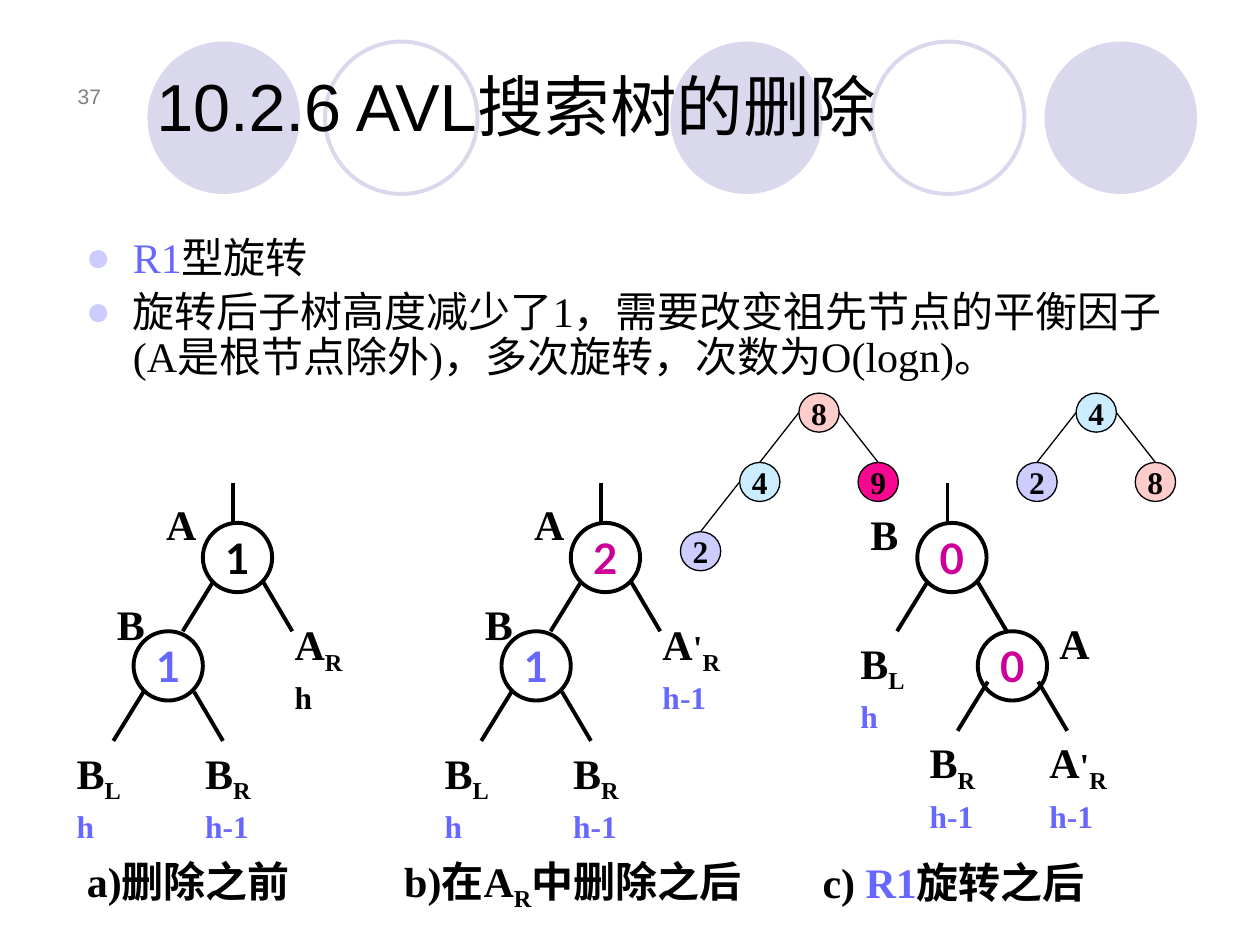
from dataclasses import dataclass
from typing import NamedTuple

from lxml import etree
from pptx import Presentation
from pptx.dml.color import RGBColor
from pptx.enum.shapes import MSO_CONNECTOR as CONN, MSO_SHAPE as SHAPE
from pptx.enum.text import MSO_ANCHOR as ANCHOR, MSO_AUTO_SIZE as AUTO, PP_ALIGN as ALIGN
from pptx.oxml.ns import qn
from pptx.util import Inches, Pt


@dataclass(frozen=True)
class Theme:
    """Colours, fonts and type sizes of the slide."""
    ink: str = "000000"
    accent: str = "6767FF"
    changed: str = "CC0099"
    number: str = "808080"
    decor: str = "D9D8EC"
    lilac: str = "CCCCFF"
    sky: str = "CCECFF"
    rose: str = "FFCCCC"
    pink: str = "FA0691"
    sans: str = "Arial"
    serif: str = "Times New Roman"
    digit: str = "Lato"
    title: int = 38
    text: int = 24
    prime: int = 20
    small: int = 18
    page: int = 12
    heavy: float = 2.25
    thin: float = 0.75


T = Theme()


class Run(NamedTuple):
    """A piece of text in one format."""
    text: str
    color: str = T.ink
    size: int = T.text
    sub: bool = False


class Slide:
    """Holds the theme and the current slide and draws its elements."""

    def __init__(self, prs, theme):
        self.t = theme
        self.s = prs.slides.add_slide(prs.slide_layouts[1])

    def add_runs(self, p, runs, font=T.serif, bold=True):
        """Add formatted runs to a paragraph."""
        for run in runs:
            r = p.add_run()
            r.text = run.text
            r.font.name, r.font.size, r.font.bold = font, Pt(run.size), bold
            r.font.color.rgb = RGBColor.from_string(run.color)
            if run.sub:
                r.font._element.set("baseline", "-25000")

    def place(self, sp, x, y, w, h):
        """Move a placeholder to its place in front of the decoration."""
        sp.left, sp.top, sp.width, sp.height = (Inches(v) for v in (x, y, w, h))
        self.s.shapes._spTree.append(sp._element)
        sp.text_frame.auto_size = AUTO.NONE
        return sp.text_frame

    def title(self, text, *box):
        """Fill the title placeholder."""
        tf = self.place(self.s.shapes.title, *box)
        tf.vertical_anchor = ANCHOR.BOTTOM
        p = tf.paragraphs[0]
        p.alignment = ALIGN.LEFT
        self.add_runs(p, [Run(text, size=self.t.title)], self.t.sans, False)

    def bullets(self, items, *box):
        """Fill the body placeholder with a bulleted list."""
        tf = self.place(self.s.placeholders[1], *box)
        tf.vertical_anchor = ANCHOR.TOP
        for i, runs in enumerate(items):
            p = tf.add_paragraph() if i else tf.paragraphs[0]
            pPr = p._p.get_or_add_pPr()
            clr = etree.SubElement(pPr, qn("a:buClr"))
            etree.SubElement(clr, qn("a:srgbClr"), val=self.t.lilac)
            etree.SubElement(pPr, qn("a:buFont"), typeface=self.t.sans)
            etree.SubElement(pPr, qn("a:buChar"), char="●")
            p.line_spacing = 0.9
            p.space_before = Pt(5 if i else 0)
            self.add_runs(p, runs, bold=False)

    def text(self, x, y, w, h, runs):
        """Add a text box of one paragraph and return its frame."""
        tf = self.s.shapes.add_textbox(*(Inches(v) for v in (x, y, w, h))).text_frame
        tf.word_wrap = True
        self.add_runs(tf.paragraphs[0], runs)
        return tf

    def page_number(self, text, *box):
        """Add the slide number."""
        tf = self.text(*box, [])
        tf.vertical_anchor = ANCHOR.BOTTOM
        p = tf.paragraphs[0]
        p.alignment = ALIGN.RIGHT
        self.add_runs(p, [Run(text, self.t.number, self.t.page)], self.t.sans, False)

    def name(self, x, y, letter):
        """Name a node."""
        self.text(x, y, 0.47, 0.5, [Run(letter)])

    def subtree(self, x, y, letter, sub, height, color=T.accent):
        """Name a subtree and give its height on a second line."""
        runs = [Run(letter[0]), Run(sub, sub=True)]
        if letter.endswith("'"):
            runs.insert(1, Run("'", size=self.t.prime))
        p = self.text(x, y, 0.8, 0.83, runs).add_paragraph()
        p.line_spacing, p.space_before = 0.6, Pt(9)
        self.add_runs(p, [Run(height, color, self.t.small)])

    def circle(self, x, y, w, h, fill=None, line=None, weight=0):
        """Add a circle with optional fill and outline."""
        sp = self.s.shapes.add_shape(SHAPE.OVAL, *(Inches(v) for v in (x, y, w, h)))
        sp.shadow.inherit = False
        for part, color in ((sp.fill, fill), (sp.line.fill, line)):
            if color:
                part.solid()
                part.fore_color.rgb = RGBColor.from_string(color)
            else:
                part.background()
        if line:
            sp.line.width = Pt(weight)
        return sp

    def node(self, x, y, w, h, run, font, fill, weight):
        """Add a tree node with a centred value."""
        tf = self.circle(x, y, w, h, fill, self.t.ink, weight).text_frame
        tf.margin_left = tf.margin_right = tf.margin_top = tf.margin_bottom = 0
        tf.word_wrap, tf.vertical_anchor = False, ANCHOR.MIDDLE
        tf.paragraphs[0].alignment = ALIGN.CENTER
        self.add_runs(tf.paragraphs[0], [run], font)

    def line(self, x1, y1, x2, y2, weight):
        """Add a straight line."""
        c = self.s.shapes.add_connector(CONN.STRAIGHT, *(Inches(v) for v in (x1, y1, x2, y2)))
        c.line.width = Pt(weight)
        c.line.color.rgb = RGBColor.from_string(self.t.ink)
        etree.SubElement(c._element.spPr, qn("a:effectLst"))

    def balance(self, x, y, value, color, leg=0.47):
        """Add a balance-factor node with its two legs."""
        self.node(x, y, 0.55, 0.55, Run(value, color), self.t.digit, None, self.t.heavy)
        for foot, hip in ((-0.16, 0.08), (0.71, 0.48)):
            self.line(x + foot, y + leg + 0.39, x + hip, y + leg, self.t.heavy)

    def root(self, x, value, color):
        """Add a root node with the stem above it."""
        self.line(x + 0.24, 3.83, x + 0.24, 4.15, self.t.heavy)
        self.balance(x, 4.15, value, color)

    def example(self, x, y, nodes):
        """Draw a sample tree from (value, fill, column, row), root first."""
        w, h, dx, dy = 0.32, 0.31, 0.47, 0.55
        for value, fill, col, row in nodes:
            left, top = x + col * dx, y + row * dy
            self.node(left, top, w, h, Run(value, size=self.t.small), self.t.serif, fill, self.t.thin)
            if row:
                side = left + dx if col < 0 else left - dx + w
                self.line(side, top - dy + h / 2, left + w / 2, top, self.t.thin)


def main():
    """Build the slide."""
    prs = Presentation()
    prs.slide_width, prs.slide_height = Inches(10), Inches(7.5)
    s = Slide(prs, T)

    for x in (1.17, 5.32, 8.29):
        s.circle(x, 0.33, 1.21, 1.21, fill=T.decor)
    for x in (2.58, 6.92):
        s.circle(x, 0.33, 1.21, 1.21, line=T.decor, weight=T.heavy)
    s.page_number("37", 0.35, 0.44, 0.55, 0.47)
    s.title("10.2.6 AVL搜索树的删除", 1.14, 0.21, 8.35, 0.99)
    s.bullets([
        [Run("R1", T.accent), Run("型旋转")],
        [Run("旋转后子树高度减少了1，需要改变祖先节点的平衡因子(A是根节点除外)，多次旋转，次数为O(logn)。")],
    ], 0.58, 1.83, 8.86, 1.83)

    for x, value, color, right, height, height_color in (
            (1.61, "1", T.ink, "A", "h", T.ink),
            (4.53, "2", T.changed, "A'", "h-1", T.accent)):
        s.root(x, value, color)
        s.balance(x - 0.55, 5.01, "1", T.accent, 0.48)
        s.name(x - 0.39, 3.91, "A")
        s.name(x - 0.78, 4.7, "B")
        s.subtree(x + 0.63, 4.86, right, "R", height, height_color)
        s.subtree(x - 1.1, 5.88, "B", "L", "h")
        s.subtree(x - 0.08, 5.88, "B", "R", "h-1")

    s.root(7.28, "0", T.changed)
    s.balance(7.76, 5.01, "0", T.changed, 0.4)
    s.name(6.81, 3.99, "B")
    s.name(8.31, 4.85, "A")
    s.subtree(6.73, 5.01, "B", "L", "h")
    s.subtree(7.28, 5.8, "B", "R", "h-1")
    s.subtree(8.23, 5.8, "A'", "R", "h-1")

    s.text(0.59, 6.74, 2.05, 0.5, [Run("a)删除之前")])
    s.text(3.11, 6.74, 3.15, 0.5, [Run("b)在A"), Run("R", sub=True), Run("中删除之后")])
    s.text(6.43, 6.75, 2.44, 0.5, [Run("c)"), Run(" R1", T.accent), Run("旋转之后")])

    s.example(6.34, 3.12, [("8", T.rose, 0, 0), ("4", T.sky, -1, 1),
                           ("9", T.pink, 1, 1), ("2", T.lilac, -2, 2)])
    s.example(8.54, 3.12, [("4", T.sky, 0, 0), ("2", T.lilac, -1, 1), ("8", T.rose, 1, 1)])
    prs.save("out.pptx")


if __name__ == "__main__":
    main()
